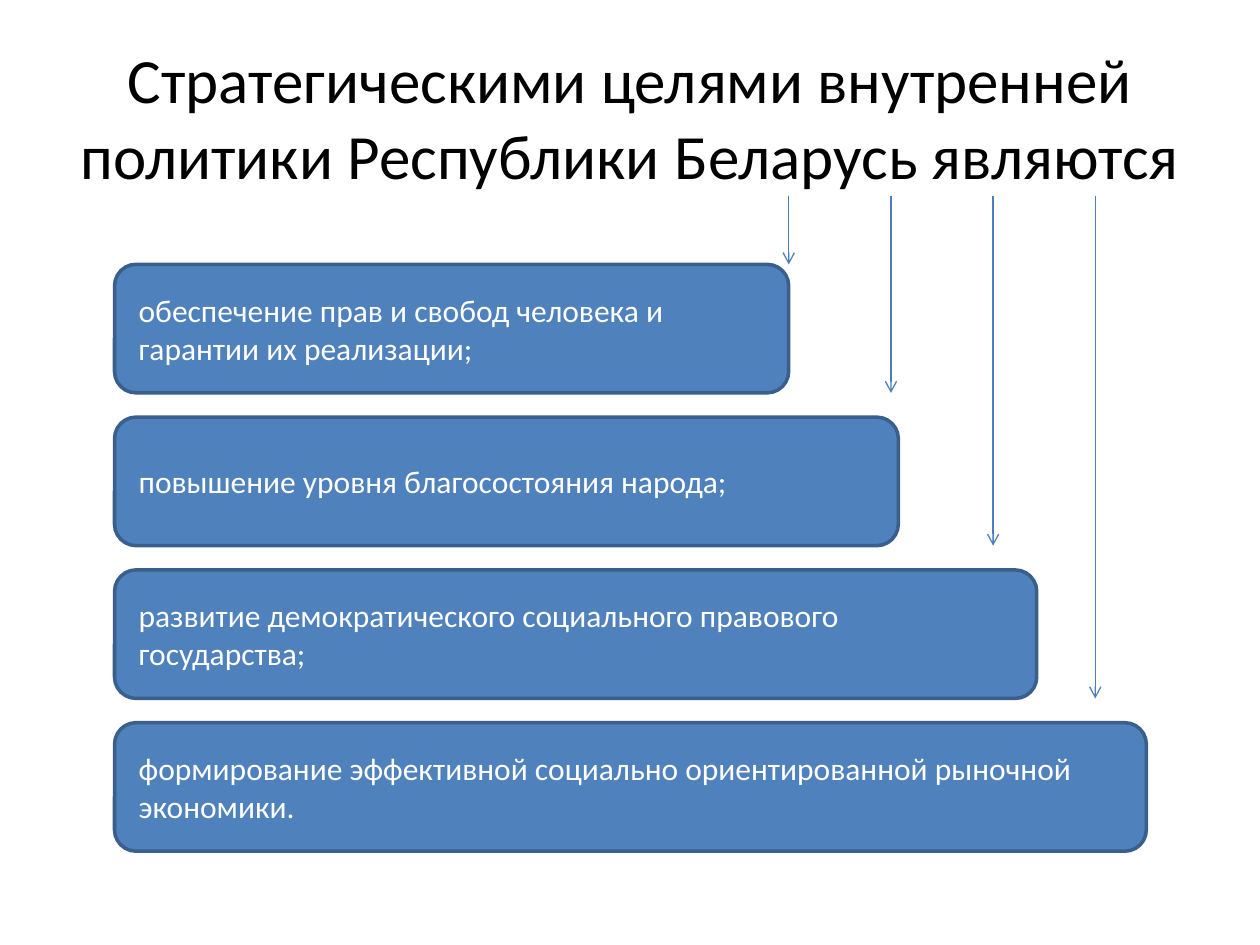
"""Build the slide on the strategic goals of domestic policy."""
from pptx import Presentation, util as u
from pptx.dml.color import RGBColor
from pptx.enum import shapes, text
from pptx.oxml.ns import qn
from lxml import etree

Cm, Pt = u.Cm, u.Pt
BLACK = RGBColor(0x00, 0x00, 0x00)
WHITE = RGBColor(0xFF, 0xFF, 0xFF)
BLUE = RGBColor(0x4F, 0x81, 0xBD)
BORDER = RGBColor(0x3A, 0x5F, 0x8C)
ARROW = RGBColor(0x4B, 0x7E, 0xBC)

LEFT, TOP, HEIGHT, PITCH = 2.31, 5.33, 2.59, 3.08
ARROW_LEFT, ARROW_TOP, ARROW_STEP = 15.9, 3.95, 2.06
GOALS = [
    ("обеспечение прав и свобод человека и гарантии их реализации;", 13.59),
    ("повышение уровня благосостояния народа;", 15.8),
    ("развитие демократического социального правового государства;", 18.59),
    ("формирование эффективной социально ориентированной рыночной экономики.", 20.8),
]


def set_text(tf, words, size, color, align):
    tf.text = words
    tf.word_wrap = True
    tf.vertical_anchor = text.MSO_ANCHOR.MIDDLE
    p = tf.paragraphs[0]
    p.alignment = align
    font = p.runs[0].font
    font.name, font.size, font.color.rgb = "Calibri", Pt(size), color


prs = Presentation()
prs.slide_width, prs.slide_height = Cm(25.4), Cm(19.05)
s = prs.slides.add_slide(prs.slide_layouts[5])

title = s.shapes.title
title.left, title.top, title.width, title.height = Cm(1.27), Cm(0.76), Cm(22.86), Cm(3.18)
set_text(title.text_frame, "Стратегическими целями внутренней политики Республики Беларусь являются",
         36, BLACK, text.PP_ALIGN.CENTER)

for i, (goal, width) in enumerate(GOALS):
    sp = s.shapes.add_shape(shapes.MSO_SHAPE.ROUNDED_RECTANGLE,
                            Cm(LEFT), Cm(TOP + i * PITCH), Cm(width), Cm(HEIGHT))
    sp.shadow.inherit = False
    sp.fill.solid()
    sp.fill.fore_color.rgb = BLUE
    sp.line.color.rgb = BORDER
    sp.line.width = Pt(2)
    tf = sp.text_frame
    tf.margin_left = tf.margin_right = Cm(0.36)
    set_text(tf, goal, 18, WHITE, text.PP_ALIGN.LEFT)

arrow_ends = [TOP] + [TOP + i * PITCH + HEIGHT for i in range(len(GOALS) - 1)]
for i, end in enumerate(arrow_ends):
    x = Cm(ARROW_LEFT + i * ARROW_STEP)
    arrow = s.shapes.add_connector(shapes.MSO_CONNECTOR.STRAIGHT, x, Cm(ARROW_TOP), x, Cm(end))
    arrow.line.color.rgb = ARROW
    arrow.line.width = Pt(0.75)
    etree.SubElement(arrow.line._get_or_add_ln(), qn("a:tailEnd"), type="arrow")
    etree.SubElement(arrow._element.spPr, qn("a:effectLst"))

prs.save("out.pptx")
